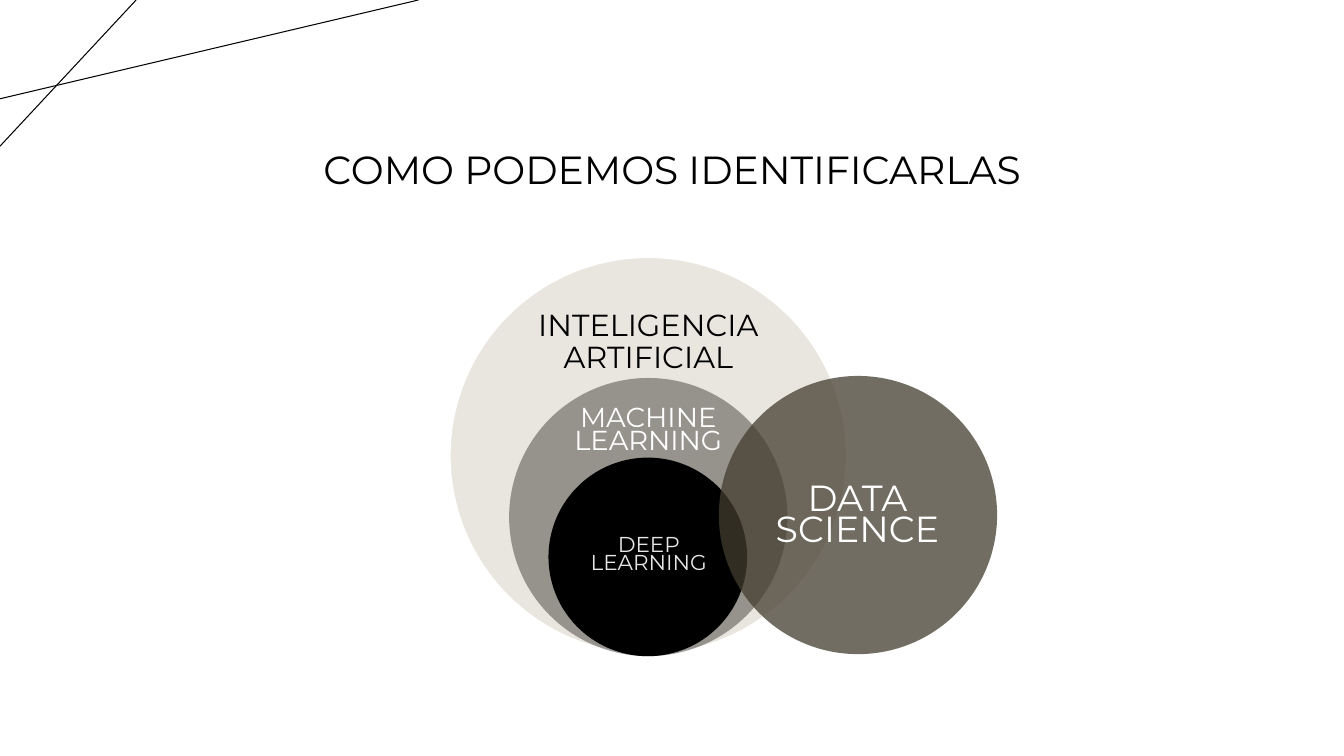
from lxml import etree
from pptx import Presentation
from pptx.dml.color import RGBColor
from pptx.enum.shapes import MSO_CONNECTOR, MSO_SHAPE
from pptx.enum.text import MSO_ANCHOR, PP_ALIGN
from pptx.oxml.ns import qn
from pptx.util import Inches, Pt

STRAIGHT = MSO_CONNECTOR.STRAIGHT
OVAL = MSO_SHAPE.OVAL
MIDDLE = MSO_ANCHOR.MIDDLE
CENTER = PP_ALIGN.CENTER
TITLE_ONLY = 5


def rgb(value):
    return RGBColor.from_string(value)


class VennSlide:
    font = "Montserrat"
    black = "000000"
    white = "FFFFFF"
    frame_format = {
        "word_wrap": True, "vertical_anchor": MIDDLE,
        "margin_left": Inches(0.1), "margin_right": Inches(0.1),
        "margin_top": Inches(0.05), "margin_bottom": Inches(0.05),
    }

    def __init__(self, deck):
        self.slide = deck.slides.add_slide(deck.slide_layouts[TITLE_ONLY])
        background = self.slide.background.fill
        background.solid()
        background.fore_color.rgb = rgb(self.white)

    def set_text(self, frame, lines, size, color, spacing):
        for name, value in self.frame_format.items():
            setattr(frame, name, value)
        for index, line in enumerate(lines):
            paragraph = frame.add_paragraph() if index else frame.paragraphs[0]
            paragraph.alignment = CENTER
            paragraph.line_spacing = spacing
            run = paragraph.add_run()
            run.text = line
            run.font.name = self.font
            run.font.size = Pt(size)
            run.font.color.rgb = rgb(color)

    def title(self, text, left, top, width, height, size):
        heading = self.slide.shapes.title
        heading.left, heading.top = Inches(left), Inches(top)
        heading.width, heading.height = Inches(width), Inches(height)
        self.set_text(heading.text_frame, [text], size, self.black, 0.9)

    def label(self, lines, left, top, width, height, size, color, spacing=0.7):
        box = self.slide.shapes.add_textbox(
            Inches(left), Inches(top), Inches(width), Inches(height))
        self.set_text(box.text_frame, lines, size, color, spacing)

    def circle(self, left, top, diameter, color, opacity=100, outline=None):
        disc = self.slide.shapes.add_shape(
            OVAL, Inches(left), Inches(top), Inches(diameter), Inches(diameter))
        disc.shadow.inherit = False
        disc.fill.solid()
        disc.fill.fore_color.rgb = rgb(color)
        if opacity < 100:
            tint = disc._element.spPr.find(qn("a:solidFill"))[0]
            etree.SubElement(tint, qn("a:alpha"), val=str(opacity * 1000))
        if outline:
            disc.line.color.rgb = rgb(outline)
            disc.line.width = Pt(1.5)
        else:
            disc.line.fill.background()

    def corner_line(self, top_x, left_y):
        """Line from the top edge of the slide to its left edge."""
        stroke = self.slide.shapes.add_connector(
            STRAIGHT, Inches(top_x), Inches(0), Inches(0), Inches(left_y))
        stroke.line.color.rgb = rgb(self.black)
        stroke.line.width = Pt(0.75)
        etree.SubElement(stroke._element.spPr, qn("a:effectLst"))


def main():
    deck = Presentation()
    deck.slide_width, deck.slide_height = Inches(13.33), Inches(7.5)
    venn = VennSlide(deck)

    # Corner decoration
    venn.corner_line(1.35, 1.45)
    venn.corner_line(4.15, 0.98)

    # Title
    venn.title("COMO PODEMOS IDENTIFICARLAS", 2.06, 0.98, 9.21, 1.45, 28)

    # Nested circles: artificial intelligence, machine learning, deep learning
    venn.circle(4.46, 2.55, 3.94, "E9E6DF", outline=venn.white)
    venn.circle(5.05, 3.75, 2.76, "1B1812", opacity=40)
    venn.circle(5.44, 4.54, 1.97, venn.black)
    venn.label(["INTELIGENCIA", "ARTIFICIAL"],
               5.17, 2.98, 2.52, 0.84, 21.7, venn.black, spacing=0.9)
    venn.label(["MACHINE", "LEARNING"], 5.46, 3.98, 1.94, 0.61, 19.6, venn.white)
    venn.label(["DEEP", "LEARNING"], 5.55, 5.28, 1.77, 0.48, 15.4, "E7E6E6")

    # Overlapping circle: data science
    venn.circle(7.13, 3.73, 2.76, "433D2E", opacity=75)
    venn.label(["DATA", "SCIENCE"], 7.39, 4.77, 2.23, 0.74, 25.9, venn.white)

    deck.save("out.pptx")


if __name__ == "__main__":
    main()
